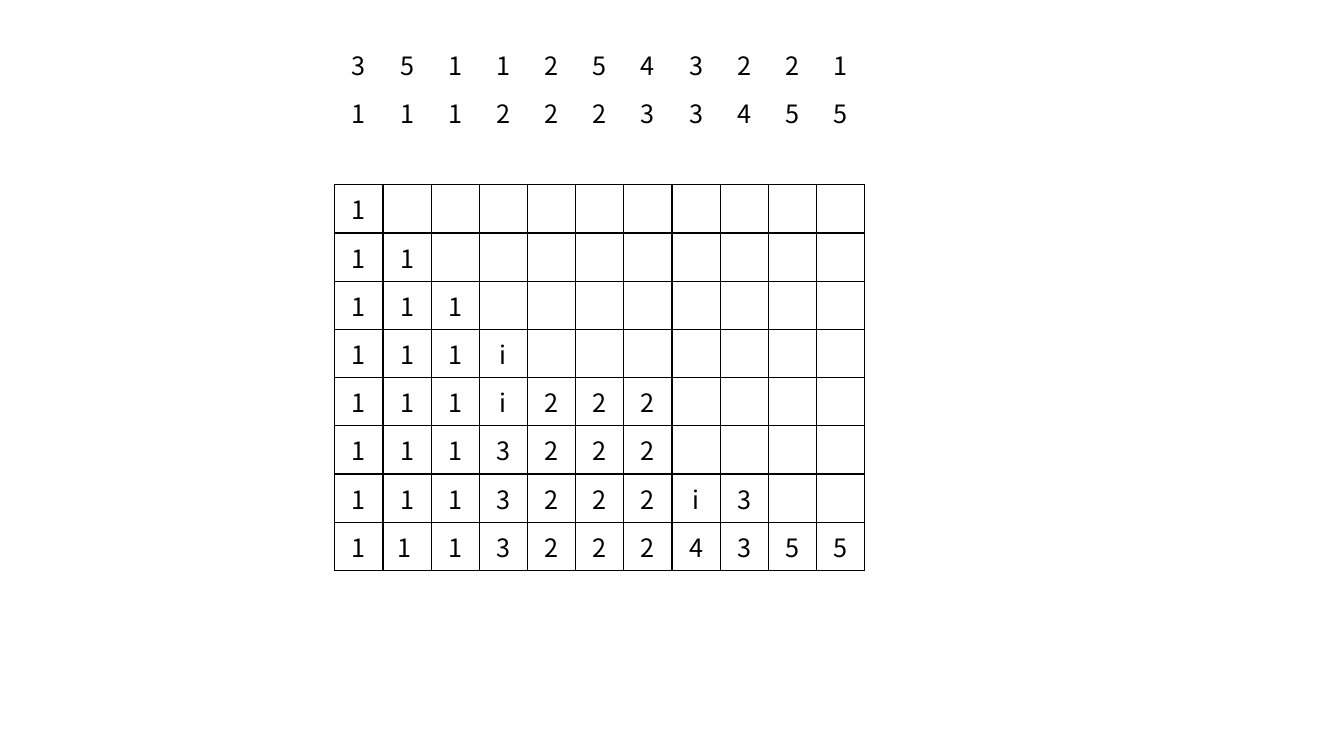
"""Build a slide with an 11-column number grid under two rows of column clues."""
from lxml import etree
from pptx import Presentation
from pptx import util as u
from pptx.dml.color import RGBColor
from pptx.enum import text
from pptx.oxml.ns import qn

CLUES = ["3,5,1,1,2,5,4,3,2,2,1", "1,1,1,2,2,2,3,3,4,5,5", ""]
BOARD = [
    "1",
    "1,1",
    "1,1,1",
    "1,1,1,i",
    "1,1,1,i,2,2,2",
    "1,1,1,3,2,2,2",
    "1,1,1,3,2,2,2,i,3",
    "1,1 ,1,3,2,2,2,4,3,5,5",
]
THEME = {"font": "Noto Sans CJK KR", "size": 18, "ink": "000000", "border": 1}
SLIDE_SIZE = (13.33, 7.5)
GRID_LEFT, GRID_TOP, GRID_SIDE = 3.32, 0.4, 5.26
COLUMNS = 11


def draw_borders(cell, visible_sides):
    """Line the named sides of a cell and leave the others without a line."""
    properties = cell._tc.get_or_add_tcPr()
    for position, side in enumerate("LRTB"):
        line = etree.Element(qn(f"a:ln{side}"), w=str(u.Pt(THEME["border"])))
        if side in visible_sides:
            fill = etree.SubElement(line, qn("a:solidFill"))
            etree.SubElement(fill, qn("a:srgbClr"), val=THEME["ink"])
        else:
            etree.SubElement(line, qn("a:noFill"))
        properties.insert(position, line)


def fill_cell(cell, value, visible_sides):
    """Write one centred value and style its cell."""
    cell.vertical_anchor = text.MSO_ANCHOR.MIDDLE
    cell.fill.background()
    draw_borders(cell, visible_sides)
    paragraph = cell.text_frame.paragraphs[0]
    paragraph.alignment = text.PP_ALIGN.CENTER
    if value:
        run = paragraph.add_run()
        run.text = value
        formats = {"name": THEME["font"], "size": u.Pt(THEME["size"]), "bold": False}
        for name, setting in formats.items():
            setattr(run.font, name, setting)
        run.font.color.rgb = RGBColor.from_string(THEME["ink"])


def main():
    """Create the presentation and save it."""
    presentation = Presentation()
    presentation.slide_width, presentation.slide_height = map(u.Inches, SLIDE_SIZE)
    slide = presentation.slides.add_slide(presentation.slide_layouts[6])
    rows = CLUES + BOARD
    frame = slide.shapes.add_table(
        len(rows), COLUMNS, u.Inches(GRID_LEFT), u.Inches(GRID_TOP),
        u.Inches(GRID_SIDE), u.Inches(GRID_SIDE))
    table = frame.table
    table.first_row = table.horz_banding = False
    for column in table.columns:
        column.width = u.Inches(GRID_SIDE / COLUMNS)
    for row_index, row in enumerate(rows):
        table.rows[row_index].height = u.Inches(GRID_SIDE / len(rows))
        values = row.split(",")
        if row_index >= len(CLUES):
            sides = "LRTB"
        else:
            sides = "B" if row_index == len(CLUES) - 1 else ""
        for column_index in range(COLUMNS):
            value = values[column_index] if column_index < len(values) else ""
            fill_cell(table.cell(row_index, column_index), value, sides)
    presentation.save("out.pptx")


if __name__ == "__main__":
    main()
